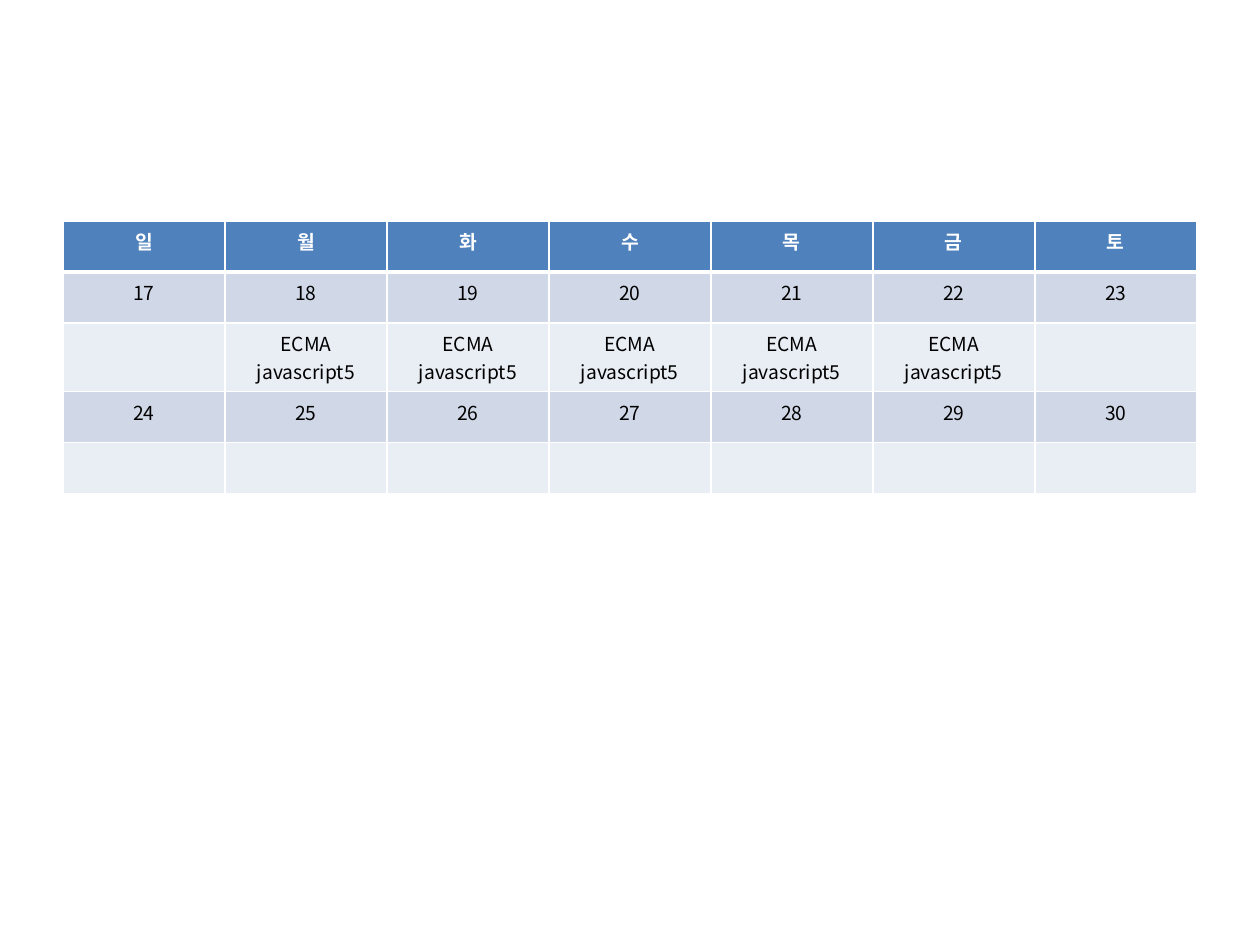
from lxml import etree
from pptx import Presentation
from pptx import util as u
from pptx.dml.color import RGBColor
from pptx.enum import text
from pptx.oxml.ns import qn

PX = 914400 // 126
FONT = "Noto Sans CJK KR"
COLORS = {
    "header": "4F81BD",
    "dates": "D0D8E8",
    "topics": "E9EDF4",
    "white": "FFFFFF",
    "black": "000000",
}
TOPIC = "ECMA javascript5"
WEEKS = [
    (range(17, 24), [""] + [TOPIC] * 5 + [""]),
    (range(24, 31), [""] * 7),
]


def color(name):
    """Return the named colour."""
    return RGBColor.from_string(COLORS[name])


def add_border(cell, side, points):
    """Draw a white border on one side of a cell."""
    properties = cell._tc.get_or_add_tcPr()
    line = etree.SubElement(properties, qn(f"a:ln{side}"), w=str(u.Pt(points)))
    fill = etree.SubElement(line, qn("a:solidFill"))
    etree.SubElement(fill, qn("a:srgbClr"), val=COLORS["white"])


def fill_cell(cell, words, kind, top, bottom):
    """Set the borders, fill and centred text of a cell."""
    for side, points in (("L", 1), ("R", 1), ("T", top), ("B", bottom)):
        add_border(cell, side, points)
    cell.fill.solid()
    cell.fill.fore_color.rgb = color(kind)
    paragraph = cell.text_frame.paragraphs[0]
    paragraph.alignment = text.PP_ALIGN.CENTER
    if words:
        run = paragraph.add_run()
        run.text = words
        run.font.size = u.Pt(11)
        run.font.bold = kind == "header"
        run.font.color.rgb = color("white" if kind == "header" else "black")
        run.font.name = FONT
        etree.SubElement(run.font._element, qn("a:ea"), typeface=FONT)


def add_calendar(slide, left, top, width, heights):
    """Place the calendar: weekdays, then dates and topics for each week."""
    rows = [("header", "일월화수목금토")]
    for dates, topics in WEEKS:
        rows += [("dates", [str(date) for date in dates]), ("topics", topics)]
    box = [length * PX for length in (left, top, width, sum(heights))]
    table = slide.shapes.add_table(len(rows), 7, *box).table
    for column in table.columns:
        column.width = width * PX // 7
    for index, (kind, entries) in enumerate(rows):
        table.rows[index].height = heights[index] * PX
        above, below = (3 if index == edge else 1 for edge in (1, 0))
        for cell, words in zip(table.rows[index].cells, entries):
            fill_cell(cell, words, kind, above, below)


def main():
    """Build and save the slide."""
    presentation = Presentation()
    presentation.slide_width = u.Inches(10)
    presentation.slide_height = u.Inches(7.5)
    slide = presentation.slides.add_slide(presentation.slide_layouts[6])
    add_calendar(slide, 63, 221, 1134, [51, 51, 68, 51, 51])
    presentation.save("out.pptx")


if __name__ == "__main__":
    main()
